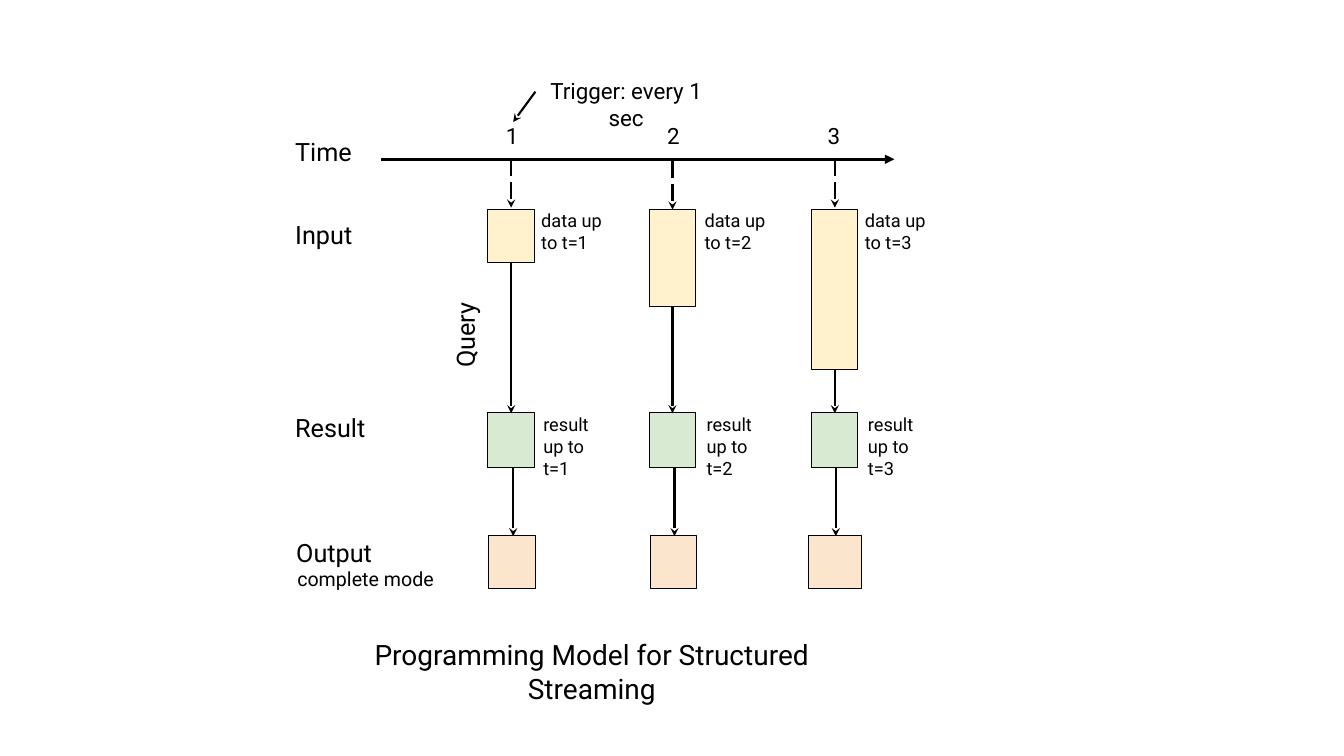
"""Build a slide on the programming model for structured streaming."""
from dataclasses import dataclass

from lxml import etree
from pptx import Presentation
from pptx.dml.color import RGBColor
from pptx.enum.dml import MSO_LINE
from pptx.enum.shapes import MSO_CONNECTOR, MSO_SHAPE
from pptx.enum.text import MSO_ANCHOR, PP_ALIGN
from pptx.oxml.ns import qn
from pptx.util import Pt

STRAIGHT = MSO_CONNECTOR.STRAIGHT
RECTANGLE = MSO_SHAPE.RECTANGLE
LONG_DASH = MSO_LINE.LONG_DASH
TOP, MIDDLE = MSO_ANCHOR.TOP, MSO_ANCHOR.MIDDLE
LEFT, CENTER = PP_ALIGN.LEFT, PP_ALIGN.CENTER
EMU_PER_PX = 9144


@dataclass(frozen=True)
class Theme:
    """Colours, font and sizes of the slide."""
    font: str = "Roboto"
    ink: str = "000000"
    paper: str = "FFFFFF"
    input: str = "FFF2CC"
    result: str = "D9EAD3"
    output: str = "FCE5CD"
    title: int = 20
    row: int = 18
    tick: int = 16
    mode: int = 14
    note: int = 13
    outline: float = 0.75
    arrow: float = 1.5
    axis: float = 2.25


@dataclass(frozen=True)
class Trigger:
    """One trigger time, with the lengths that vary from column to column."""
    time: int
    x: int
    tick_left: int
    dash_top: int
    input_height: int
    input_note_left: int
    result_note_left: int
    output_left: int
    output_width: int


THEME = Theme()
TRIGGERS = (
    Trigger(1, 507, 485, 158, 52, 527, 529, 485, 46),
    Trigger(2, 667, 645, 160, 96, 689, 691, 645, 46),
    Trigger(3, 828, 804, 158, 159, 848, 851, 802, 52),
)
ROW_LABELS = (
    ("Time", 283, 125),
    ("Input", 283, 208),
    ("Result", 283, 399),
    ("Output", 284, 523),
)
INPUT_TOP, RESULT_TOP, OUTPUT_TOP = 208, 409, 531
RESULT_BOTTOM = 464
BOX_WIDTH = 46


def px(*lengths):
    """Turn lengths in px into EMU."""
    return [length * EMU_PER_PX for length in lengths]


def rgb(colour):
    """Return a colour object for a hex string."""
    return RGBColor.from_string(colour)


def write(frame, text, size, align=LEFT, anchor=TOP, inset_x=10, inset_y=10):
    """Fill a text frame with paragraphs of one style."""
    frame.word_wrap = True
    frame.vertical_anchor = anchor
    frame.margin_left, frame.margin_right = px(inset_x, inset_x)
    frame.margin_top, frame.margin_bottom = px(inset_y, inset_y)
    frame.text = text
    for paragraph in frame.paragraphs:
        paragraph.alignment = align
        paragraph.font.name = THEME.font
        paragraph.font.size = Pt(size)
        paragraph.font.color.rgb = rgb(THEME.ink)


def add_label(shapes, text, bounds, size, **style):
    """Add a text box."""
    write(shapes.add_textbox(*px(*bounds)).text_frame, text, size, **style)


def add_box(shapes, bounds, fill):
    """Add a filled rectangle with a thin outline."""
    box = shapes.add_shape(RECTANGLE, *px(*bounds))
    box.shadow.inherit = False
    box.fill.solid()
    box.fill.fore_color.rgb = rgb(fill)
    box.line.color.rgb = rgb(THEME.ink)
    box.line.width = Pt(THEME.outline)
    return box


def add_arrow(shapes, start, end, width=THEME.arrow, head="stealth", dash=None):
    """Add a straight arrow from start to end."""
    arrow = shapes.add_connector(STRAIGHT, *px(*start, *end))
    arrow.line.color.rgb = rgb(THEME.ink)
    arrow.line.width = Pt(width)
    if dash:
        arrow.line.dash_style = dash
    properties = arrow.element.spPr
    etree.SubElement(properties.find(qn("a:ln")), qn("a:tailEnd"), type=head)
    etree.SubElement(properties, qn("a:effectLst"))


def add_query(shapes):
    """Add the upright query label on its translucent ground."""
    query = add_box(shapes, (422, 310, 78, 45), THEME.paper)
    query.line.fill.background()
    query.rotation = 270
    colour = query.element.spPr.find(qn("a:solidFill"))[0]
    etree.SubElement(colour, qn("a:alpha"), val="89000")
    write(query.text_frame, "Query", THEME.row, CENTER, MIDDLE, inset_x=0)


def add_trigger_note(shapes):
    """Add the grouped note on the trigger interval and its pointer."""
    note = shapes.add_group_shape().shapes
    add_arrow(note, (531, 91), (509, 121))
    add_label(note, "Trigger: every 1 sec", (520, 67, 202, 40), THEME.tick, align=CENTER)


def add_column(shapes, trigger):
    """Add the tick, boxes, notes and arrows of one trigger time."""
    x, time = trigger.x, trigger.time
    box_left = x - BOX_WIDTH // 2
    input_bottom = INPUT_TOP + trigger.input_height
    output_x = trigger.output_left + trigger.output_width // 2 + 1

    add_label(shapes, str(time), (trigger.tick_left, 111, 46, 51), THEME.tick, align=CENTER)
    add_box(shapes, (box_left, INPUT_TOP, BOX_WIDTH, trigger.input_height), THEME.input)
    add_box(shapes, (box_left, RESULT_TOP, BOX_WIDTH, RESULT_BOTTOM - RESULT_TOP), THEME.result)
    add_box(shapes, (trigger.output_left, OUTPUT_TOP, trigger.output_width, 53), THEME.output)

    add_arrow(shapes, (x, trigger.dash_top), (x, trigger.dash_top + 48), dash=LONG_DASH)
    add_arrow(shapes, (x, input_bottom), (x, RESULT_TOP + 1))
    add_arrow(shapes, (output_x, RESULT_BOTTOM), (output_x, OUTPUT_TOP + 1))

    add_label(shapes, f"data up\nto t={time}", (trigger.input_note_left, 198, 86, 38), THEME.note)
    add_label(shapes, f"result up to t={time}", (trigger.result_note_left, 400, 86, 38), THEME.note)


def main():
    """Build and save the slide."""
    deck = Presentation()
    deck.slide_width, deck.slide_height = px(1333, 750)
    shapes = deck.slides.add_slide(deck.slide_layouts[6]).shapes

    add_trigger_note(shapes)
    add_query(shapes)
    for text, left, top in ROW_LABELS:
        add_label(shapes, text, (left, top, 136, 61), THEME.row)
    add_label(shapes, "complete mode", (285, 552, 191, 111), THEME.mode)
    add_arrow(shapes, (378, 158), (887, 158), THEME.axis, "triangle")
    for trigger in TRIGGERS:
        add_column(shapes, trigger)
    add_label(shapes, "Programming Model for Structured Streaming",
              (317, 628, 540, 44), THEME.title, align=CENTER, inset_y=5)

    deck.save("out.pptx")


if __name__ == "__main__":
    main()
